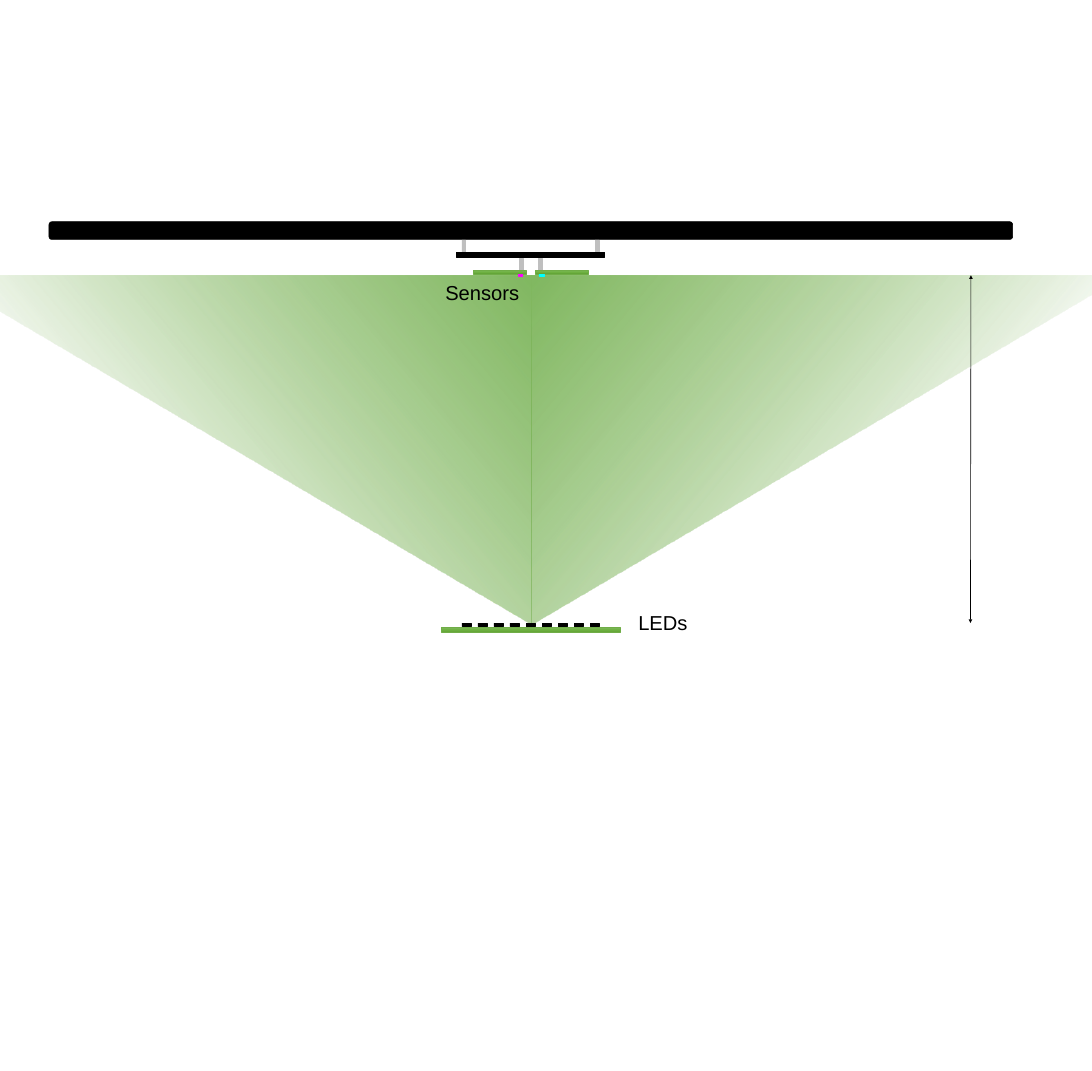
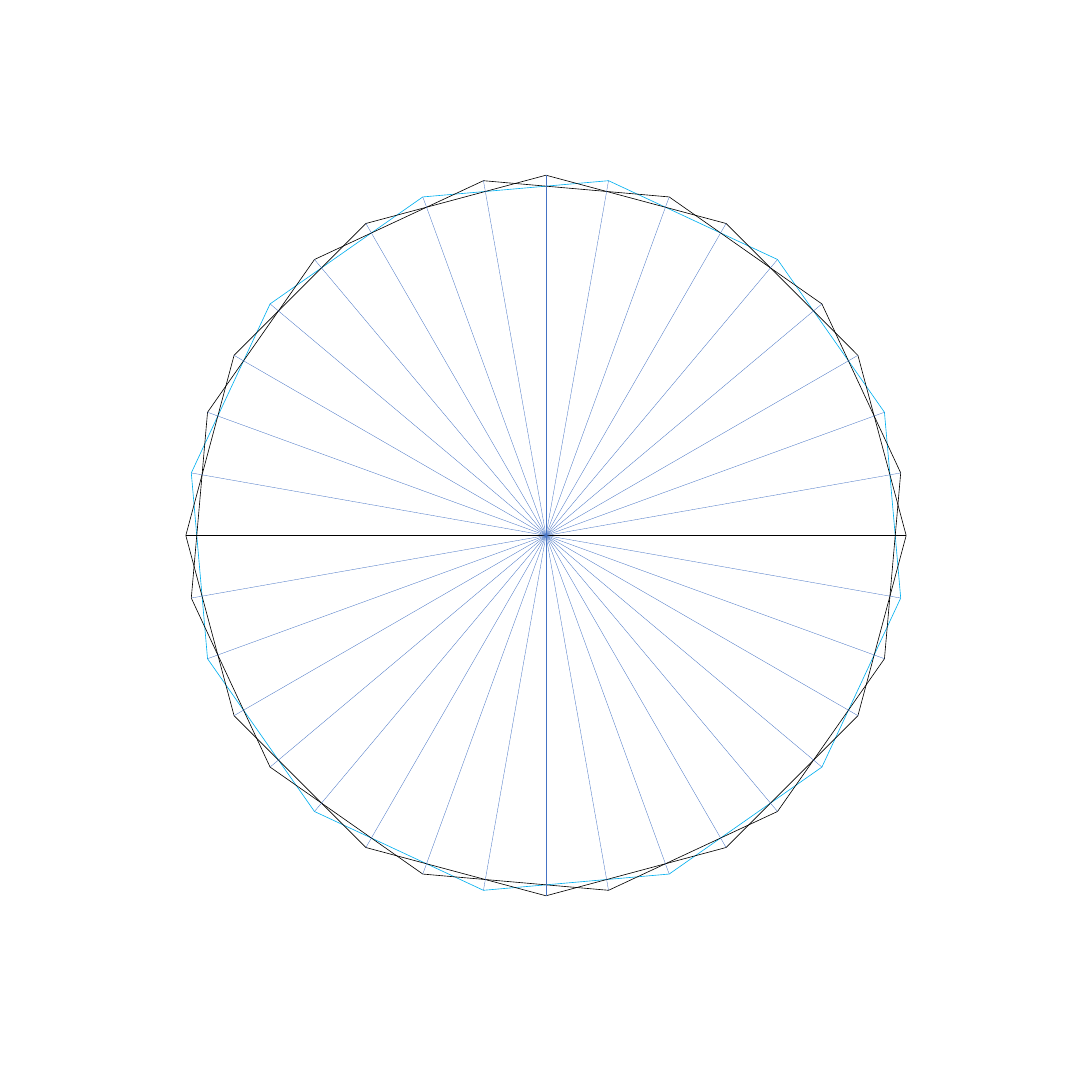
from math import cos, radians, sin

from lxml.etree import SubElement
from pptx import Presentation
from pptx.dml.color import RGBColor
from pptx.enum.shapes import MSO_CONNECTOR, MSO_SHAPE
from pptx.enum.text import MSO_AUTO_SIZE, PP_ALIGN
from pptx.oxml.ns import qn
from pptx.util import Pt

WIDTH, HEIGHT = 1734.48, 1700.64
BLACK, GREY, GREEN = "000000", "BFBFBF", "70AD47"
MAGENTA, CYAN, SKY, BLUE = "FF00FF", "00FFFF", "00B0F0", "4472C4"
BOARD_STOPS = [(0, "81B861", 100), (50, "6FB242", 100), (100, "62A336", 100)]
BEAM_STOPS = [(0, "81B861", 100), (71, "62A336", 0)]


def color(value):
    return RGBColor.from_string(value)


def set_line(line, value, width):
    line.color.rgb = color(value)
    line.width = Pt(width)


def add_shape(shapes, kind, box, fill=None, line=None, width=1):
    shape = shapes.add_shape(kind, *map(Pt, box))
    shape.shadow.inherit = False
    if fill:
        shape.fill.solid()
        shape.fill.fore_color.rgb = color(fill)
    else:
        shape.fill.background()
    if line:
        set_line(shape.line, line, width)
    else:
        shape.line.fill.background()
    return shape


def set_gradient(shape, stops, angle):
    properties = shape.element.spPr
    empty_fill = properties.find(qn("a:noFill"))
    gradient = SubElement(properties, qn("a:gradFill"), rotWithShape="1")
    stop_list = SubElement(gradient, qn("a:gsLst"))
    for position, value, opacity in stops:
        stop = SubElement(stop_list, qn("a:gs"), pos=str(position * 1000))
        stop_color = SubElement(stop, qn("a:srgbClr"), val=value)
        if opacity < 100:
            SubElement(stop_color, qn("a:alpha"), val=str(opacity * 1000))
    SubElement(gradient, qn("a:lin"), ang=str(angle * 60000), scaled="0")
    properties.replace(empty_fill, gradient)


def add_line(shapes, start, end, value, width, arrows=False):
    connector = shapes.add_connector(MSO_CONNECTOR.STRAIGHT, *map(Pt, (*start, *end)))
    set_line(connector.line, value, width)
    properties = connector.element.spPr
    if arrows:
        for tag in ("a:headEnd", "a:tailEnd"):
            SubElement(properties.find(qn("a:ln")), qn(tag), type="triangle")
    SubElement(properties, qn("a:effectLst"))


def add_beam(shapes, left, flipped):
    beam = add_shape(shapes, MSO_SHAPE.RIGHT_TRIANGLE, (left, 437.8, 941.8, 553.7))
    beam.rotation = 180
    if flipped:
        beam.element.spPr.find(qn("a:xfrm")).set("flipH", "1")
    set_gradient(beam, BEAM_STOPS, 320)


def add_board(shapes, box):
    board = add_shape(shapes, MSO_SHAPE.RECTANGLE, box, line=GREEN, width=0.5)
    set_gradient(board, BOARD_STOPS, 90)


def add_block(shapes, box, value):
    add_shape(shapes, MSO_SHAPE.RECTANGLE, box, value, value)


def add_label(shapes, box, text):
    label = shapes.add_textbox(*map(Pt, box))
    frame = label.text_frame
    frame.word_wrap = True
    frame.auto_size = MSO_AUTO_SIZE.SHAPE_TO_FIT_TEXT
    paragraph = frame.paragraphs[0]
    paragraph.text = text
    paragraph.alignment = PP_ALIGN.CENTER
    paragraph.font.name = "Arial"
    paragraph.font.size = Pt(32)
    paragraph.font.color.rgb = color(BLACK)


def build_sensor_slide(slide):
    beams = slide.shapes.add_group_shape().shapes
    add_beam(beams, -98, False)
    add_beam(beams, 843.8, True)

    add_label(slide.shapes, (943.2, 966.2, 219.6, 46), "LEDs")
    add_label(slide.shapes, (679.7, 442.1, 172.8, 46), "Sensors")

    rig = slide.shapes.add_group_shape().shapes
    add_shape(rig, MSO_SHAPE.ROUNDED_RECTANGLE, (77.8, 352.1, 1530.7, 28.1), BLACK, BLACK)
    add_line(rig, (1541.5, 989.3), (1542.2, 437), BLACK, 1, arrows=True)
    for left in (733.7, 945.4):
        add_block(rig, (left, 380.9, 5.8, 22.3), GREY)
    add_block(rig, (725, 400.3, 235.4, 8.6), BLACK)
    for left in (825.1, 855.4):
        add_block(rig, (left, 409.7, 5.8, 22.3), GREY)
    for left in (751, 849.6):
        add_board(rig, (left, 429.1, 85, 5.8))
    add_block(rig, (823.7, 435.6, 5.8, 2.9), MAGENTA)
    add_block(rig, (856.1, 435.6, 8.6, 2.9), CYAN)
    add_board(rig, (701.3, 995.8, 283.7, 8.6))
    for index in range(9):
        add_block(rig, (733.7 + index * 25.46, 989.3, 14.4, 5.8), BLACK)


def build_spoke_slide(slide):
    center_x, center_y = WIDTH / 2, HEIGHT / 2
    size, radius = 1105.2, 572.2
    for rotation, value in ((25, SKY), (5, BLACK), (15, BLACK)):
        box = (center_x - size / 2, center_y - size / 2, size, size)
        ring = add_shape(slide.shapes, MSO_SHAPE.DODECAGON, box, line=value)
        ring.rotation = rotation
    for angle in range(0, 180, 10):
        across, down = radius * cos(radians(angle)), radius * sin(radians(angle))
        start = (center_x - across, center_y - down)
        end = (center_x + across, center_y + down)
        add_line(slide.shapes, start, end, BLUE if angle else BLACK, 0.5)


def main():
    presentation = Presentation()
    presentation.slide_width, presentation.slide_height = Pt(WIDTH), Pt(HEIGHT)
    for build in (build_sensor_slide, build_spoke_slide):
        build(presentation.slides.add_slide(presentation.slide_layouts[6]))
    presentation.save("out.pptx")


if __name__ == "__main__":
    main()
